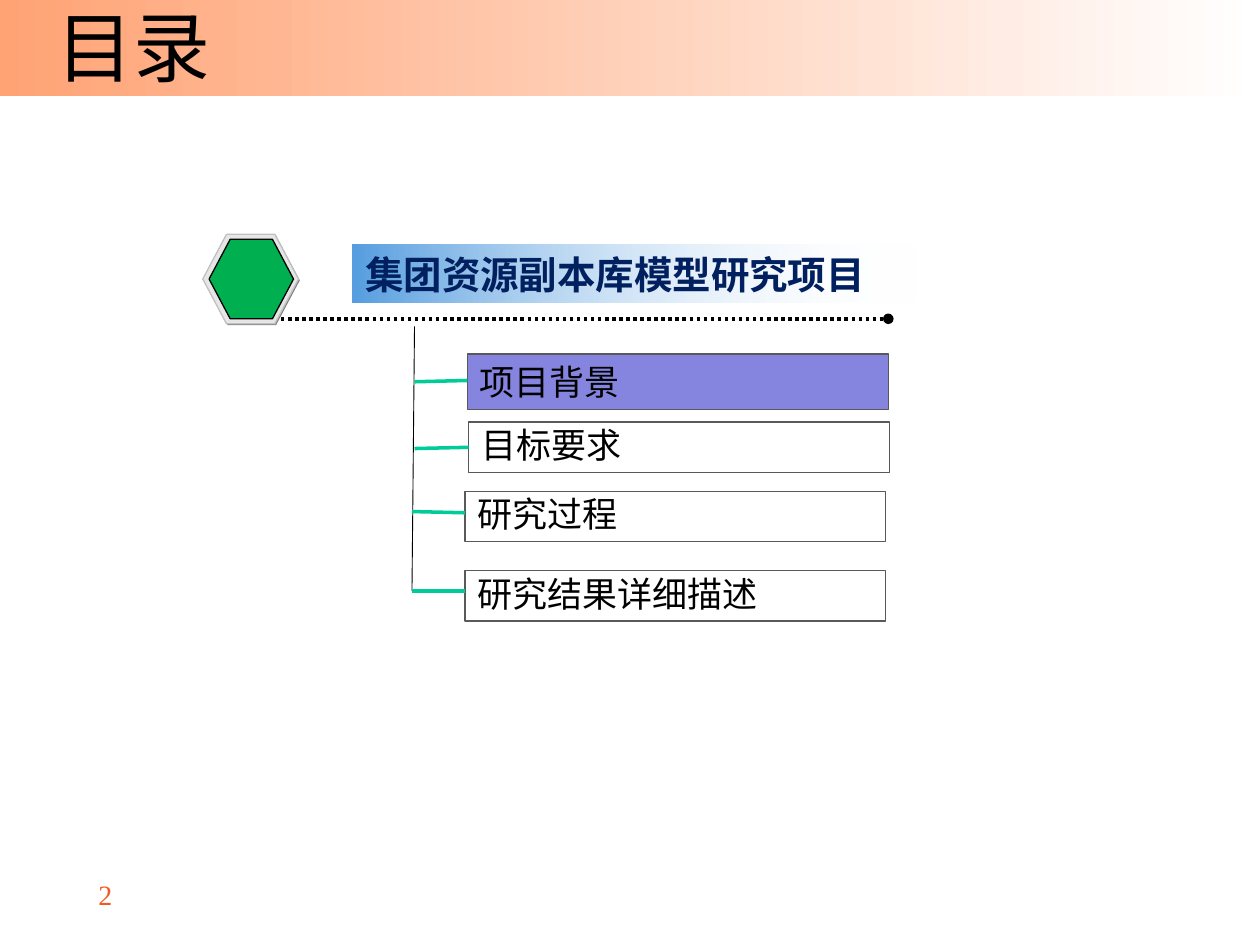
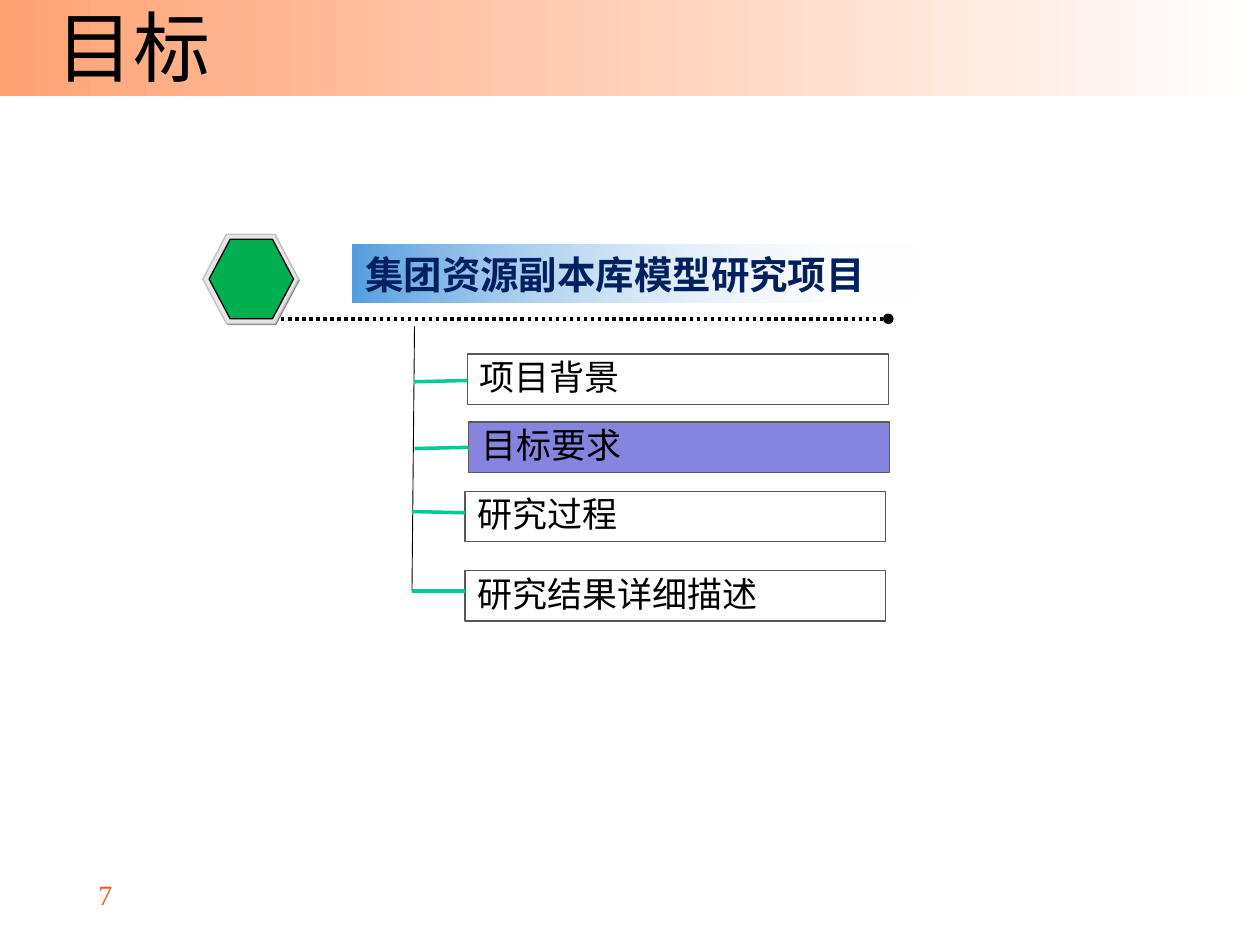
import dataclasses

import lxml.etree
import pptx
import pptx.dml.color
import pptx.enum.dml
import pptx.enum.shapes
import pptx.enum.text
import pptx.oxml.ns
import pptx.util

Inches = pptx.util.Inches
Pt = pptx.util.Pt
qn = pptx.oxml.ns.qn
SHAPE = pptx.enum.shapes.MSO_SHAPE
ANCHOR = pptx.enum.text.MSO_ANCHOR
ALIGN = pptx.enum.text.PP_ALIGN

COLORS = {
    "band": "FFA375",
    "white": "FFFFFF",
    "black": "000000",
    "number": "F15A22",
    "highlight": "8585E0",
    "border": "595959",
    "branch": "00CC99",
    "hexagon_shade": "808080",
    "hexagon_rim": "E6E6E6",
    "hexagon_edge": "C0C0C0",
    "hexagon_core": "00B050",
    "banner": "569EE0",
    "banner_text": "002060",
}
SERIF = "Times New Roman"
SANS = "Noto Sans CJK SC"
PROJECT = "集团资源副本库模型研究项目"


@dataclasses.dataclass
class Topic:
    """One agenda entry, placed relative to the agenda box."""

    text: str
    left: float
    top: float
    branch_left: float
    branch_start: float
    branch_end: float


TOPICS = [
    Topic("项目背景", 2.1, 0.95, 1.68, 1.17, 1.16),
    Topic("目标要求", 2.11, 1.49, 1.68, 1.7, 1.69),
    Topic("研究过程", 2.08, 2.04, 1.66, 2.2, 2.21),
    Topic("研究结果详细描述", 2.08, 2.67, 1.66, 2.83, 2.83),
]


def rgb(name):
    """Return the named palette colour."""
    return pptx.dml.color.RGBColor.from_string(COLORS[name])


def add_box(shapes, kind, box, fill=None, line=None):
    """Add a flat preset shape with an optional fill and outline."""
    shape = shapes.add_shape(kind, *map(Inches, box))
    shape.shadow.inherit = False
    if fill:
        shape.fill.solid()
        shape.fill.fore_color.rgb = rgb(fill)
    else:
        shape.fill.background()
    if line:
        shape.line.color.rgb = rgb(line)
        shape.line.width = Pt(0.75)
    else:
        shape.line.fill.background()
    return shape


def fade_to_white(shape, start, end_transparent=False):
    """Fill a shape with a left-to-right gradient into white."""
    shape.fill.gradient()
    shape.fill.gradient_angle = 0
    first, last = shape.fill.gradient_stops
    first.color.rgb = rgb(start)
    last.color.rgb = rgb("white")
    if end_transparent:
        color = shape._element.spPr.findall(".//" + qn("a:srgbClr"))[-1]
        lxml.etree.SubElement(color, qn("a:alpha"), val="0")


def write(shape, text, size, color, font, anchor=ANCHOR.TOP, align=ALIGN.LEFT, bold=False):
    """Set and format the single paragraph of a shape."""
    frame = shape.text_frame
    frame.word_wrap = True
    frame.vertical_anchor = anchor
    frame.text = text
    paragraph = frame.paragraphs[0]
    paragraph.alignment = align
    run = paragraph.runs[0]
    run.font.size = Pt(size)
    run.font.bold = bold
    run.font.color.rgb = rgb(color)
    run.font.name = font
    lxml.etree.SubElement(run.font._element, qn("a:ea"), typeface=SANS)
    return paragraph


def add_line(shapes, start, end, color, width):
    """Add a straight line without a shadow."""
    connector = shapes.add_connector(
        pptx.enum.shapes.MSO_CONNECTOR.STRAIGHT, *map(Inches, (*start, *end))
    )
    connector.line.color.rgb = rgb(color)
    connector.line.width = Pt(width)
    lxml.etree.SubElement(connector._element.spPr, qn("a:effectLst"))
    return connector


def add_frame(slide, title, number):
    """Add the title band, title and slide number."""
    band = add_box(slide.shapes, SHAPE.RECTANGLE, (0, 0, 10, 0.76))
    fade_to_white(band, "band")
    number_box = slide.shapes.add_textbox(*map(Inches, (0.24, 6.93, 0.75, 0.34)))
    write(number_box, str(number), 16, "number", SERIF, ANCHOR.MIDDLE, ALIGN.RIGHT)
    title_box = slide.shapes.add_textbox(*map(Inches, (0.35, 0.05, 9.65, 0.63)))
    write(title_box, title, 44, "black", SERIF, ANCHOR.MIDDLE)


def add_heading(slide, left, top):
    """Add the hexagon emblem, dotted rule and project banner."""
    group = slide.shapes.add_group_shape()
    layers = [
        (0.01, 0.01, 0.76, 0.71, "hexagon_shade", None),
        (0, 0, 0.76, 0.71, "hexagon_rim", "hexagon_edge"),
        (0.05, 0.04, 0.67, 0.63, "hexagon_core", "black"),
    ]
    for x, y, width, height, fill, line in layers:
        box = (left + x, top + y, width, height)
        hexagon = add_box(group.shapes, SHAPE.HEXAGON, box, fill, line)
        hexagon.adjustments[0] = 0.265
    rule_top = top + 0.67
    rule = add_line(group.shapes, (left + 0.62, rule_top), (left + 5.44, rule_top), "black", 2)
    rule.line.dash_style = pptx.enum.dml.MSO_LINE.ROUND_DOT
    lxml.etree.SubElement(rule.line._get_or_add_ln(), qn("a:tailEnd"), type="oval")
    banner = add_box(slide.shapes, SHAPE.RECTANGLE, (left + 1.19, top + 0.08, 4.49, 0.46))
    fade_to_white(banner, "banner", end_transparent=True)
    write(banner, PROJECT, 22, "banner_text", SANS, bold=True)


def add_topic(slide, topic, left, top, current, height, line_spacing):
    """Add one agenda entry and the branch that leads to it."""
    box = (left + topic.left, top + topic.top, 3.34, height)
    fill = "highlight" if current else None
    shape = add_box(slide.shapes, SHAPE.RECTANGLE, box, fill, "border")
    paragraph = write(shape, topic.text, 20, "black", SANS)
    paragraph.line_spacing = line_spacing
    start = (left + topic.branch_left, top + topic.branch_start)
    end = (left + topic.left, top + topic.branch_end)
    add_line(slide.shapes, start, end, "branch", 2)


def add_agenda(slide, current, left=1.61, top=1.86):
    """Add the agenda tree with the current topic highlighted."""
    trunk_start = (left + 1.68, top + 0.73)
    trunk_end = (left + 1.66, top + 2.83)
    add_line(slide.shapes, trunk_start, trunk_end, "black", 0.5)
    add_heading(slide, left, top)
    for index, topic in enumerate(TOPICS):
        tall = index == current == 0
        height, line_spacing = (0.44, 1.0) if tall else (0.4, 0.9)
        add_topic(slide, topic, left, top, index == current, height, line_spacing)


def main():
    """Build the agenda slides and save them."""
    presentation = pptx.Presentation()
    presentation.slide_width = Inches(10)
    presentation.slide_height = Inches(7.5)
    for title, number, current in [("目录", 2, 0), ("目标", 7, 1)]:
        slide = presentation.slides.add_slide(presentation.slide_layouts[6])
        add_frame(slide, title, number)
        add_agenda(slide, current)
    presentation.save("out.pptx")


if __name__ == "__main__":
    main()
